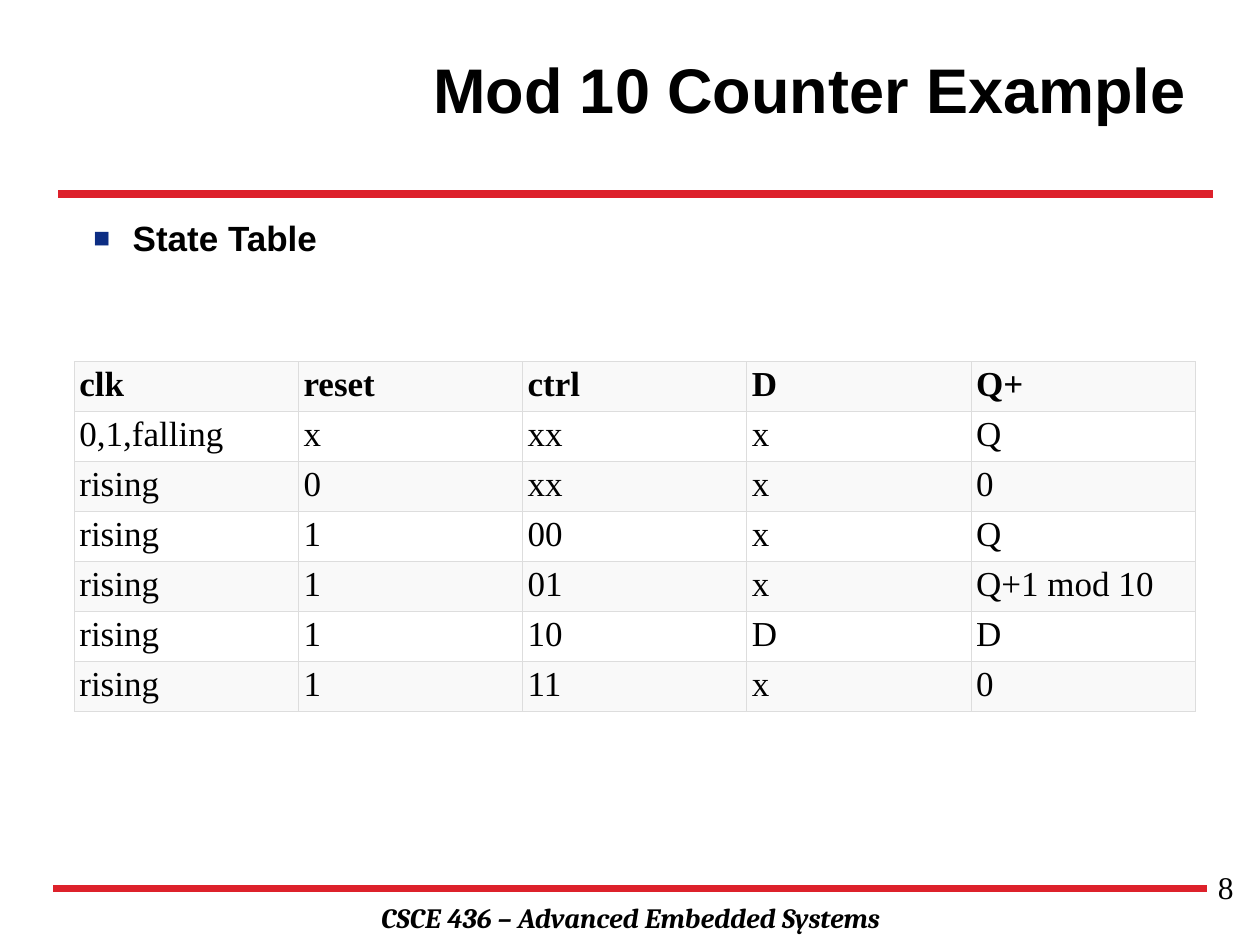
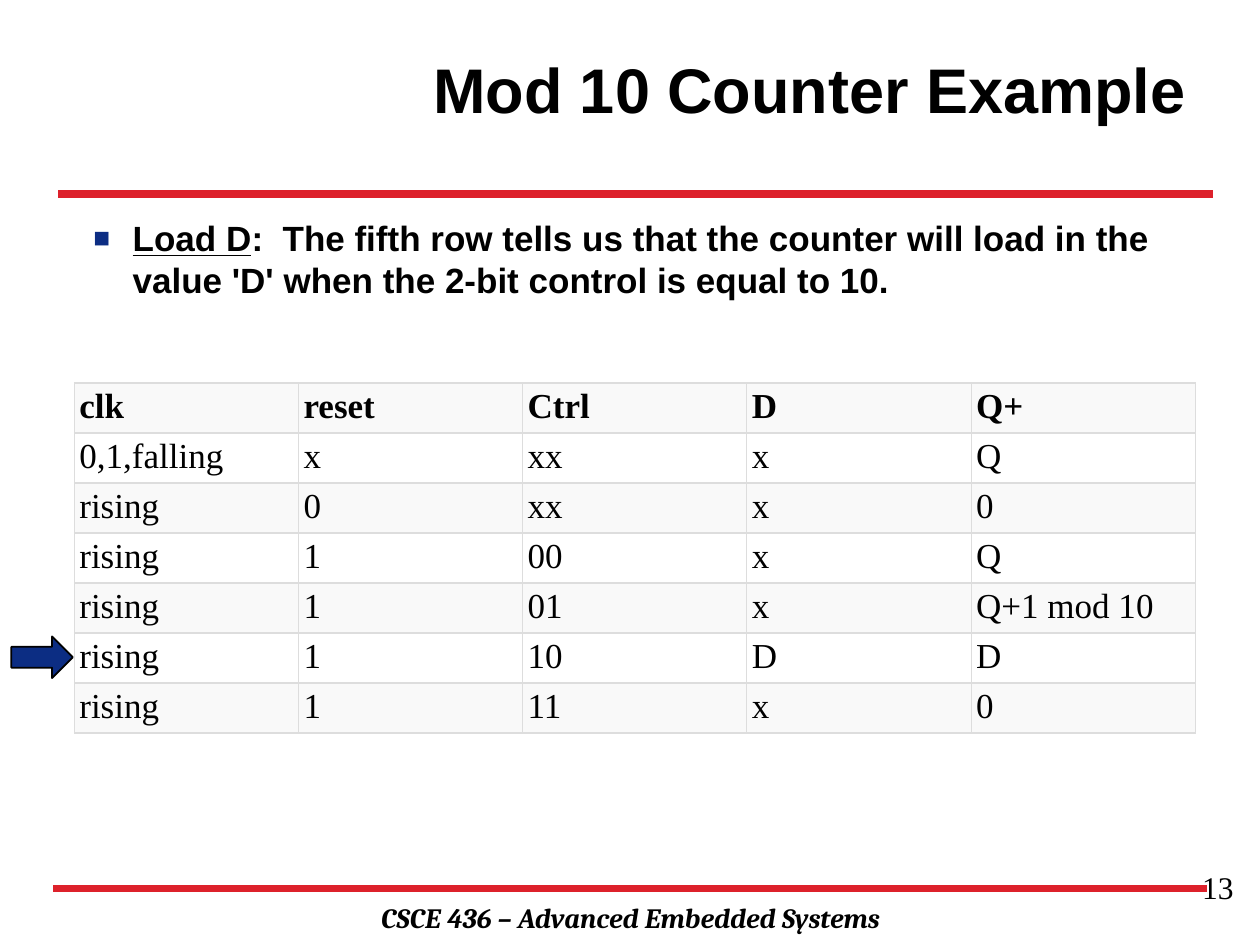
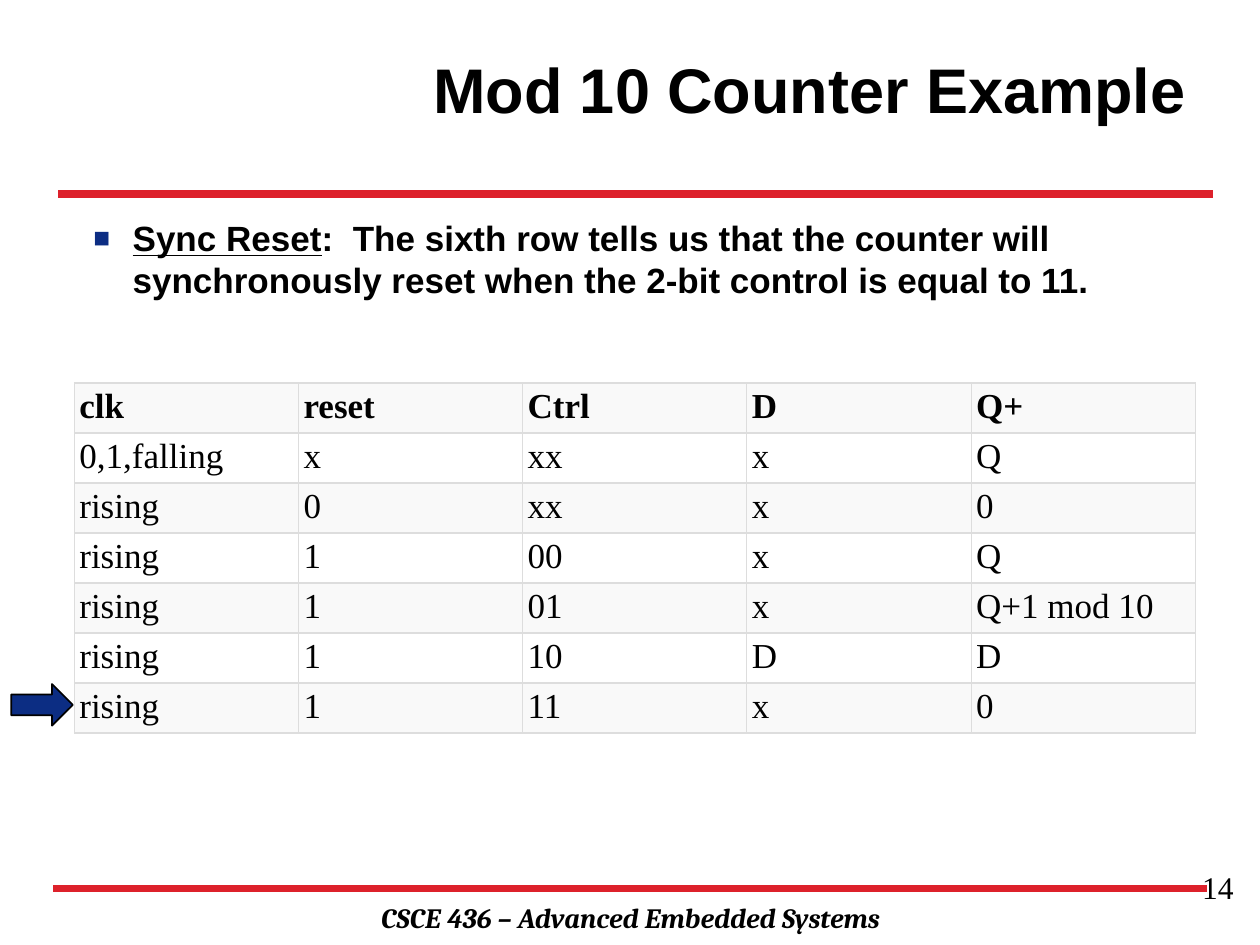
from dataclasses import dataclass

from lxml import etree
from pptx import Presentation
from pptx import util as u
from pptx.dml.color import RGBColor
from pptx.enum import shapes, text
from pptx.oxml.ns import qn

Cm, Pt = u.Cm, u.Pt


@dataclass(frozen=True)
class Theme:
    ink: str = "000000"
    red: str = "DD212B"
    blue: str = "0C2D83"
    edge: str = "DDDDDD"
    bands: tuple = ("F9F9F9", "FFFFFF")
    sans: str = "Arial"
    serif: str = "Times New Roman"
    foot: str = "Cambria"
    head_size: int = 36
    text_size: int = 20
    page_size: int = 18
    foot_size: int = 16
    rule: float = 4.5
    grid: float = 0.75


def rgb(code):
    return RGBColor.from_string(code)


def node(root, tag, **attrs):
    return etree.SubElement(root, qn(tag), attrs)


class Deck:
    def __init__(self, theme):
        self.theme = theme
        self.prs = Presentation()
        self.prs.slide_width, self.prs.slide_height = Cm(25.4), Cm(19.05)
        self.slide = None

    def start(self, title, page):
        self.slide = self.prs.slides.add_slide(self.prs.slide_layouts[1])
        t = self.theme
        self.label("CSCE 436 – Advanced Embedded Systems", (3.61, 18.03, 18.21, 0.94),
                   t.foot, t.foot_size, text.PP_ALIGN.CENTER, bold=True, italic=True)
        self.rule(1.07, 24.33, 17.91)
        self.rule(1.17, 24.46, 3.91)
        self.title(title)
        self.label(str(page), (19.2, 17.37, 5.92, 1.32), t.serif, t.page_size,
                   text.PP_ALIGN.RIGHT)

    def place(self, shape, box):
        shape.left, shape.top, shape.width, shape.height = map(Cm, box)

    def style(self, para, face, size, bold=False, italic=False):
        font = para.font
        font.name, font.size = face, Pt(size)
        font.bold, font.italic = bold, italic
        font.color.rgb = rgb(self.theme.ink)

    def title(self, words):
        shape = self.slide.shapes.title
        self.place(shape, (5.31, 0.2, 18.85, 3.18))
        frame = shape.text_frame
        frame.text = words
        frame.vertical_anchor = text.MSO_ANCHOR.MIDDLE
        para = frame.paragraphs[0]
        para.alignment = text.PP_ALIGN.RIGHT
        self.style(para, self.theme.sans, self.theme.head_size, bold=True)

    def bullet(self, words, lead=""):
        shape = self.slide.placeholders[1]
        self.place(shape, (1.63, 4.24, 22.58, 12.01))
        para = shape.text_frame.paragraphs[0]
        if lead:
            run = para.add_run()
            run.text = lead
            run.font.underline = True
        para.add_run().text = words
        props = para._p.get_or_add_pPr()
        props.set("marL", str(Cm(0.79)))
        props.set("indent", str(-Cm(0.79)))
        node(node(props, "a:buClr"), "a:srgbClr", val=self.theme.blue)
        node(props, "a:buSzPct", val="80000")
        node(props, "a:buFont", typeface=self.theme.sans)
        node(props, "a:buChar", char="■")
        self.style(para, self.theme.sans, self.theme.text_size, bold=True)

    def label(self, words, box, face, size, align, **looks):
        shape = self.slide.shapes.add_textbox(*map(Cm, box))
        frame = shape.text_frame
        frame.word_wrap = True
        frame.text = words
        para = frame.paragraphs[0]
        para.alignment = align
        self.style(para, face, size, **looks)

    def rule(self, left, right, y):
        line = self.slide.shapes.add_connector(
            shapes.MSO_CONNECTOR.STRAIGHT, Cm(left), Cm(y), Cm(right), Cm(y))
        line.line.color.rgb = rgb(self.theme.red)
        line.line.width = Pt(self.theme.rule)
        node(line._element.spPr, "a:effectLst")

    def arrow(self, top):
        shape = self.slide.shapes.add_shape(
            shapes.MSO_SHAPE.RIGHT_ARROW, Cm(0.23), Cm(top), Cm(1.24), Cm(0.84))
        shape.shadow.inherit = False
        shape.fill.solid()
        shape.fill.fore_color.rgb = rgb(self.theme.blue)
        shape.line.color.rgb = rgb(self.theme.ink)
        shape.line.width = Pt(1)

    def table(self, rows, top):
        high, wide = 0.71, 4.52
        count = len(rows[0])
        grid = self.slide.shapes.add_table(
            len(rows), count, Cm(1.5), Cm(top),
            Cm(wide * count), Cm(high * len(rows))).table
        grid.first_row = grid.horz_banding = False
        for r, row in enumerate(rows):
            for c, words in enumerate(row):
                self.cell(grid.cell(r, c), words, r)

    def cell(self, cell, words, row):
        t = self.theme
        cell.text = words
        cell.margin_left = cell.margin_right = Cm(0.1)
        cell.margin_top = cell.margin_bottom = Cm(0.08)
        self.style(cell.text_frame.paragraphs[0], t.serif, t.text_size, bold=row == 0)
        props = cell._tc.get_or_add_tcPr()
        for side in "LRTB":
            edge = node(props, f"a:ln{side}", w=str(Pt(t.grid)))
            node(node(edge, "a:solidFill"), "a:srgbClr", val=t.edge)
        cell.fill.solid()
        cell.fill.fore_color.rgb = rgb(t.bands[row % 2])


def states(ctrl):
    return [
        ("clk", "reset", ctrl, "D", "Q+"),
        ("0,1,falling", "x", "xx", "x", "Q"),
        ("rising", "0", "xx", "x", "0"),
        ("rising", "1", "00", "x", "Q"),
        ("rising", "1", "01", "x", "Q+1 mod 10"),
        ("rising", "1", "10", "D", "D"),
        ("rising", "1", "11", "x", "0"),
    ]


def main():
    deck = Deck(Theme())
    title = "Mod 10 Counter Example"

    deck.start(title, 8)
    deck.bullet("State Table")
    deck.table(states("ctrl"), 7.29)

    steps = [
        (13, "Load D", ":  The fifth row tells us that the counter will load in "
         "the value 'D' when the 2-bit control is equal to 10.", 12.83),
        (14, "Sync Reset", ":  The sixth row tells us that the counter will "
         "synchronously reset when the 2-bit control is equal to 11.", 13.79),
    ]
    for page, lead, words, top in steps:
        deck.start(title, page)
        deck.bullet(words, lead)
        deck.table(states("Ctrl"), 7.72)
        deck.arrow(top)

    deck.prs.save("out.pptx")


if __name__ == "__main__":
    main()
